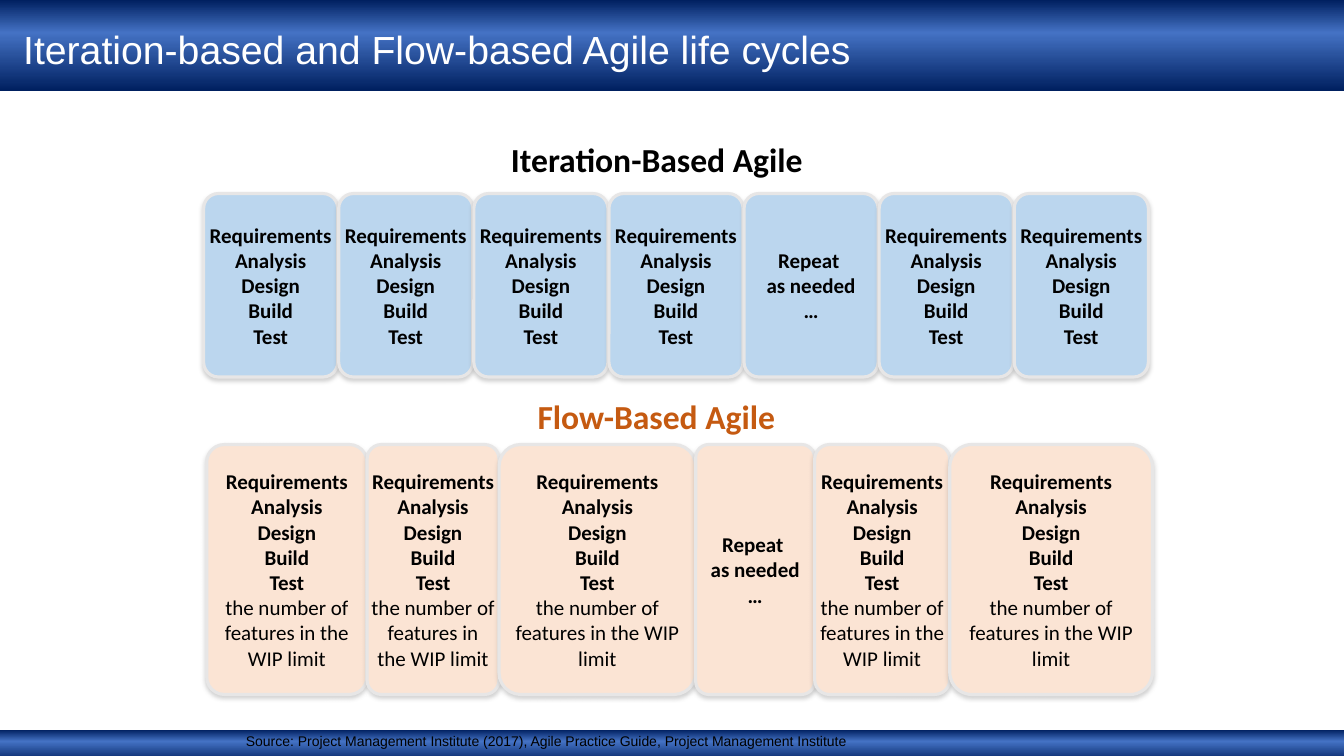
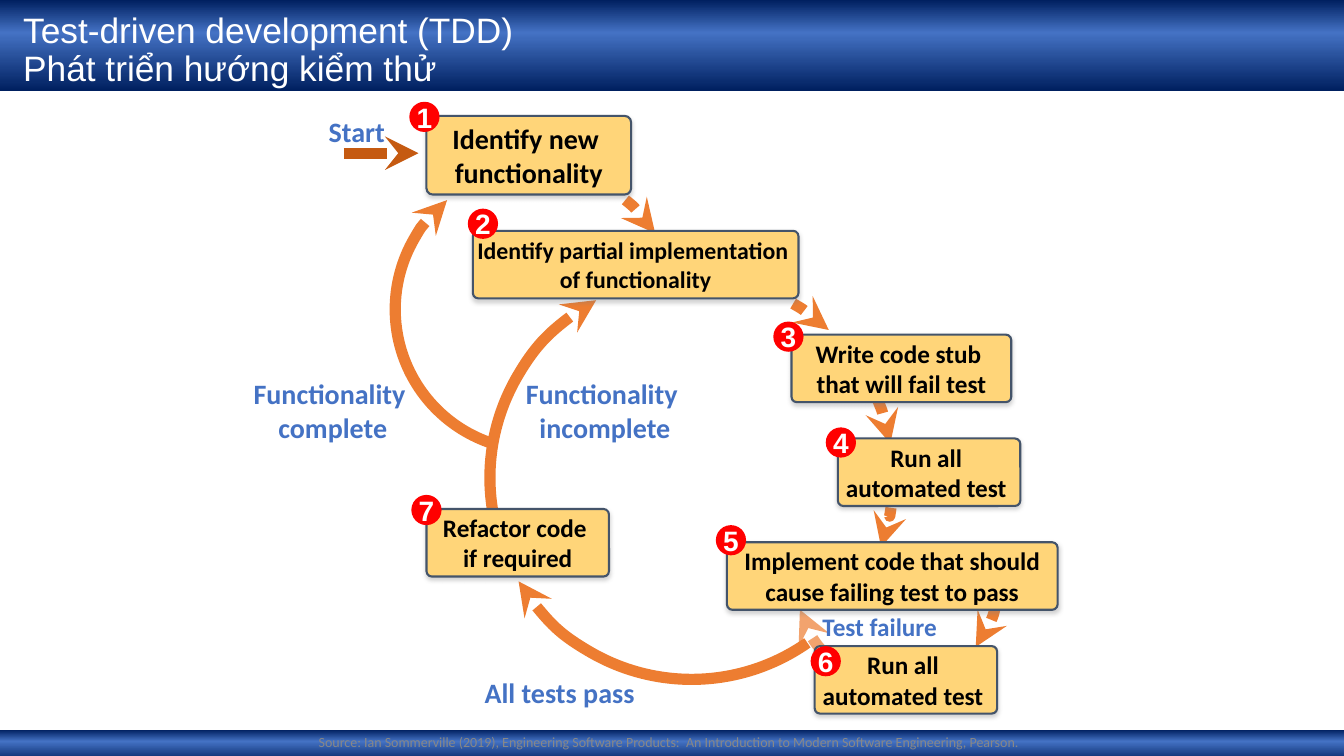
from dataclasses import dataclass

from lxml import etree
from pptx import Presentation
from pptx.dml import color
from pptx.enum import shapes, text
from pptx.oxml import ns
from pptx.util import Inches, Pt

COLORS = {
    "navy": "002060",
    "blue": "4472C4",
    "white": "FFFFFF",
    "black": "000000",
    "gray": "888888",
    "shadow": "808080",
    "card_border": "E7E6E6",
    "iteration": "BBD6EE",
    "flow": "FBE4D4",
    "rust": "C55A11",
    "orange": "ED7D31",
    "step": "FFD579",
    "step_border": "44546A",
    "red": "FF0000",
}
SHAPE = shapes.MSO_SHAPE
ALIGN = text.PP_ALIGN
ANCHOR = text.MSO_ANCHOR

ACTIVITIES = ["Requirements", "Analysis", "Design", "Build", "Test"]
WIP_NOTE = "the number of features in the WIP limit"
REPEAT = ["Repeat \nas needed", "…"]

ITERATION_COUNT = 7
ITERATION_REPEAT = 4
FLOW_WIDTHS = [1.59, 1.31, 1.95, 1.18, 1.34, 2.01]
FLOW_REPEAT = 3

STEPS = [
    (["Identify new \nfunctionality"], (4.23, 1.15, 2.03, 0.78), 20, (4.06, 1.01)),
    (["Identify partial implementation ", "of functionality"],
     (4.69, 2.29, 3.23, 0.67), 17, (4.64, 2.07)),
    (["Write code stub \nthat will fail test"], (7.85, 3.32, 2.18, 0.67), 18, (7.67, 3.19)),
    (["Run all \nautomated test "], (8.31, 4.35, 1.81, 0.67), 18, (8.19, 4.24)),
    (["Implement code that should cause failing test to pass"],
     (7.21, 5.38, 3.28, 0.67), 18, (7.1, 5.21)),
    (["Run all \nautomated test "], (8.08, 6.41, 1.81, 0.67), 18, (8.04, 6.41)),
    (["Refactor code \nif required"], (4.23, 5.05, 1.81, 0.67), 18, (4.08, 4.91)),
]
COMPLETE_LOOP = (3.92, 1.67, 2.8)
MAIN_LOOP = (4.86, 2.74, 4)
RETRY_LOOP = (7.9, 4.79, 2)
ARCS = [
    (COMPLETE_LOOP, 106.87, 230.74, 100),
    (COMPLETE_LOOP, 309.12, 327.35, 100),
    (MAIN_LOOP, 171.2, 241.75, 100),
    (RETRY_LOOP, 14.74, 38.9, 100),
    (MAIN_LOOP, 300.24, 312.86, 100),
    (MAIN_LOOP, 337.67, 350.21, 100),
    (MAIN_LOOP, 54.96, 149.08, 100),
    (RETRY_LOOP, 139.57, 165, 70),
    (MAIN_LOOP, 8.56, 20.08, 100),
]
LABELS = [
    ("Start", (3.16, 1.09, 0.76, 0.44), 20),
    ("Functionality \nincomplete", (5.11, 3.69, 1.78, 0.77), 20),
    ("Functionality \ncomplete", (2.41, 3.69, 1.78, 0.77), 20),
    ("All tests pass", (4.7, 6.65, 1.7, 0.44), 20),
    ("Test failure", (8.05, 6.02, 1.35, 0.4), 18),
]


@dataclass
class Style:
    size: float
    color: str = "black"
    font: str = "Calibri"
    bold: bool = True
    align: ALIGN = ALIGN.CENTER
    spacing: float = 1.0


def rgb(name):
    return color.RGBColor.from_string(COLORS[name])


def add_xml(parent, tag, **attributes):
    child = etree.SubElement(parent, ns.qn(tag))
    for key, value in attributes.items():
        child.set(key, str(value))
    return child


def write(box, lines, style, plain=()):
    frame = box.text_frame
    for index, line in enumerate(lines):
        para = frame.paragraphs[0] if index == 0 else frame.add_paragraph()
        para.alignment = style.align
        para.line_spacing = style.spacing
        for part_index, part in enumerate(line.split("\n")):
            if part_index:
                para.add_line_break()
            span = para.add_run()
            span.text = part
            span.font.name = style.font
            span.font.size = Pt(style.size)
            span.font.bold = style.bold and line not in plain
            span.font.color.rgb = rgb(style.color)


def add_textbox(page, area, lines, style, wrap=False, anchor=ANCHOR.TOP):
    box = page.shapes.add_textbox(*map(Inches, area))
    box.text_frame.word_wrap = wrap
    box.text_frame.vertical_anchor = anchor
    write(box, lines, style)


def add_shape(page, kind, area, fill=None, line=None, width=0):
    box = page.shapes.add_shape(kind, *map(Inches, area))
    box.shadow.inherit = False
    if fill:
        box.fill.solid()
        box.fill.fore_color.rgb = rgb(fill)
    else:
        box.fill.background()
    if line:
        box.line.color.rgb = rgb(line)
        box.line.width = Pt(width)
    else:
        box.line.fill.background()
    frame = box.text_frame
    frame.margin_left = frame.margin_right = frame.margin_top = frame.margin_bottom = 0
    frame.vertical_anchor = ANCHOR.MIDDLE
    frame.word_wrap = True
    return box


def add_shadow(box):
    effects = box.element.spPr.find(ns.qn("a:effectLst"))
    shadow = add_xml(effects, "a:outerShdw", blurRad=Pt(3.1), dist=Pt(1.8),
                     dir=90 * 60000, rotWithShape=0)
    tint = add_xml(shadow, "a:srgbClr", val=COLORS["shadow"])
    add_xml(tint, "a:alpha", val=35000)


def add_card(page, area, fill, line, width, corner):
    card = add_shape(page, SHAPE.ROUNDED_RECTANGLE, area, fill, line, width)
    card.adjustments[0] = corner
    add_shadow(card)
    return card


def add_arrowhead(line_shape):
    add_xml(line_shape.line._get_or_add_ln(), "a:tailEnd", type="stealth")


def add_arc(page, loop, start, end, opacity):
    left, top, size = loop
    arc = add_shape(page, SHAPE.ARC, (left, top, size, size), None, "orange", 8)
    for index, degrees in enumerate((start, end)):
        arc.adjustments[index] = degrees * 0.6
    if opacity < 100:
        tint = arc.element.spPr.find(".//" + ns.qn("a:srgbClr"))
        add_xml(tint, "a:alpha", val=opacity * 1000)
    add_arrowhead(arc)


def add_start_arrow(page):
    arrow = page.shapes.add_connector(
        shapes.MSO_CONNECTOR.STRAIGHT, *map(Inches, (3.41, 1.52, 4.15, 1.52)))
    arrow.line.color.rgb = rgb("rust")
    arrow.line.width = Pt(8)
    add_arrowhead(arrow)
    add_xml(arrow.element.spPr, "a:effectLst")


def add_band(page, layout, area, number):
    band = add_shape(page, SHAPE.RECTANGLE, area)
    band.fill.gradient()
    band.fill.gradient_angle = 270
    stops = band.element.spPr.find(".//" + ns.qn("a:gsLst"))
    for stop in list(stops):
        stops.remove(stop)
    for position, name in ((0, "navy"), (36, "blue"), (100, "navy")):
        stop = add_xml(stops, "a:gs", pos=position * 1000)
        add_xml(stop, "a:srgbClr", val=COLORS[name])
    band.element.nvSpPr.cNvPr.set("id", str(number))
    layout.shapes.element.insert(2, band.element)


def prepare_layout(deck):
    layout = deck.slide_layouts.get_by_name("Title Only")
    for holder in list(layout.placeholders)[1:]:
        holder.element.getparent().remove(holder.element)
    title = layout.placeholders[0]
    title.left, title.top, title.width, title.height = map(Inches, (0.13, 0.12, 11.52, 0.78))
    return layout


def add_page(deck, layout, title_lines, title_size):
    page = deck.slides.add_slide(layout)
    title = page.shapes.title
    title.text_frame.vertical_anchor = ANCHOR.MIDDLE
    title.text_frame.auto_size = text.MSO_AUTO_SIZE.NONE
    write(title, title_lines, Style(title_size, "white", "Arial", False, ALIGN.LEFT, 0.9))
    return page


def add_source(page, line, style, anchor):
    add_textbox(page, (2.34, 7.22, 8.58, 0.28), [line], style, True, anchor)


def add_cycle_card(page, area, fill, lines):
    card = add_card(page, area, fill, "card_border", 2.25, 0.11)
    write(card, lines, Style(15), plain=[WIP_NOTE])


def fill_life_cycles(page):
    add_source(page, "Source: Project Management Institute (2017), Agile Practice Guide, "
               "Project Management Institute",
               Style(10, font="Arial", bold=False, align=ALIGN.LEFT), ANCHOR.TOP)
    add_textbox(page, (4.95, 1.33, 3.13, 0.5), ["Iteration-Based Agile"], Style(24))
    for index in range(ITERATION_COUNT):
        lines = REPEAT if index == ITERATION_REPEAT else ACTIVITIES
        add_cycle_card(page, (2.02 + 1.34 * index, 1.92, 1.33, 1.82), "iteration", lines)
    add_textbox(page, (5.22, 3.88, 2.58, 0.5), ["Flow-Based Agile"], Style(24, "rust"))
    left = 2.05
    for index, width in enumerate(FLOW_WIDTHS):
        lines = REPEAT if index == FLOW_REPEAT else ACTIVITIES + [WIP_NOTE]
        add_cycle_card(page, (left, 4.41, width, 2.48), "flow", lines)
        left += width


def fill_test_driven(page):
    add_source(page, "Source: Ian Sommerville (2019), Engineering Software Products:  "
               "An Introduction to Modern Software Engineering, Pearson.",
               Style(10, "gray", bold=False), ANCHOR.MIDDLE)
    add_start_arrow(page)
    for arc in ARCS:
        add_arc(page, *arc)
    for lines, area, size, _ in STEPS:
        step = add_card(page, area, "step", "step_border", 1.5, 0.08)
        write(step, lines, Style(size))
    for label, area, size in LABELS:
        add_textbox(page, area, [label], Style(size, "blue"))
    for number, (*_, corner) in enumerate(STEPS, 1):
        badge = add_shape(page, SHAPE.OVAL, (*corner, 0.3, 0.3), "red")
        write(badge, [str(number)], Style(20, "white", "Arial"))


def main():
    deck = Presentation()
    deck.slide_width = Inches(13.33)
    deck.slide_height = Inches(7.5)
    layout = prepare_layout(deck)
    cycles = add_page(deck, layout, ["Iteration-based and Flow-based Agile life cycles"], 28)
    add_band(cycles, layout, (0, 0, 13.33, 0.9), 20)
    add_band(cycles, layout, (0, 7.24, 13.33, 0.32), 21)
    fill_life_cycles(cycles)
    testing = add_page(deck, layout,
                       ["Test-driven development (TDD)", "Phát triển hướng kiểm thử"], 25.2)
    fill_test_driven(testing)
    deck.save("out.pptx")


if __name__ == "__main__":
    main()
